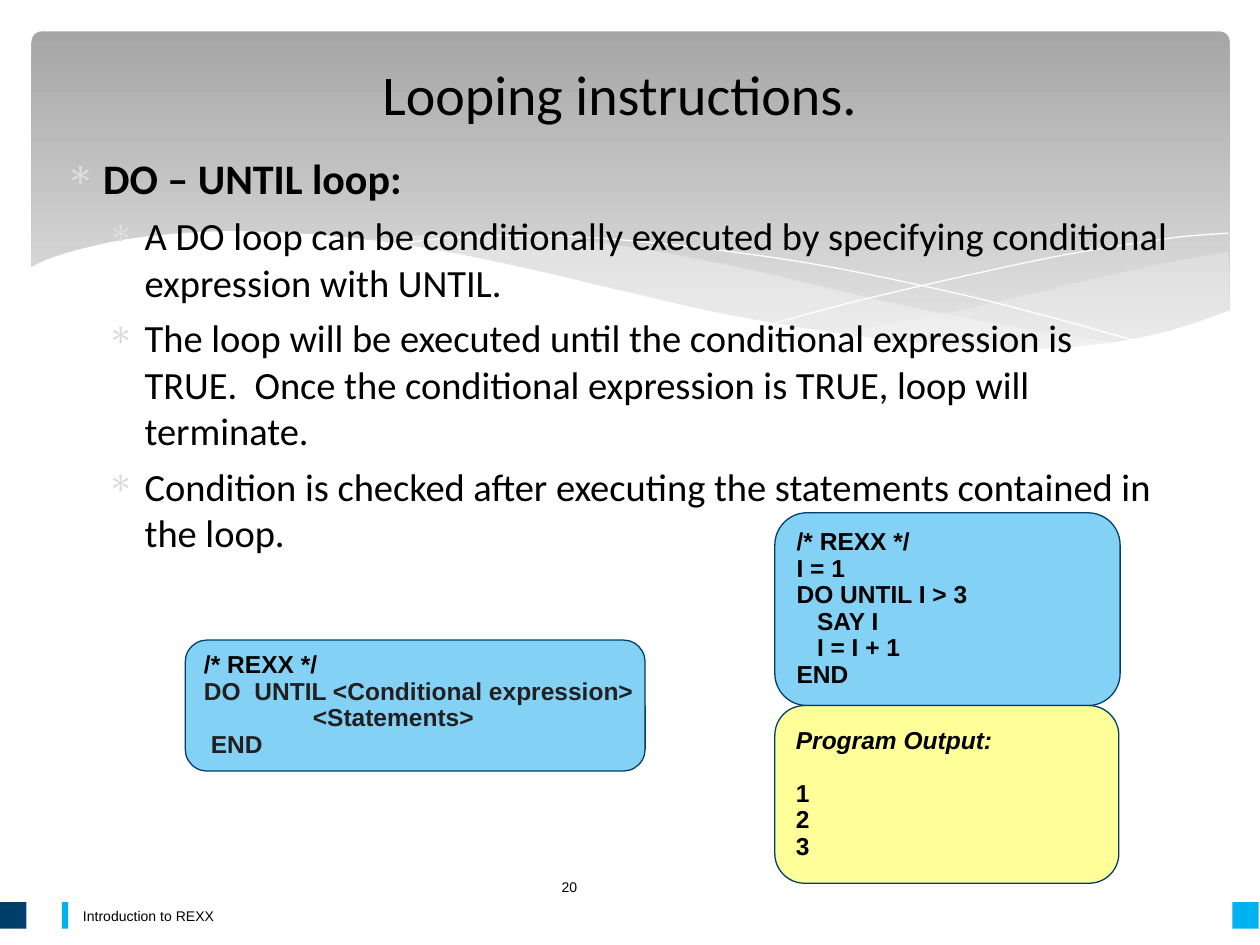
import pptx
import pptx.util
from lxml import etree
from pptx.dml.color import RGBColor
from pptx.enum.shapes import MSO_SHAPE
from pptx.enum.text import MSO_ANCHOR, PP_ALIGN
from pptx.oxml.ns import qn

# The slide is a grid of 10 columns by 7.5 rows
COLUMN = ROW = pptx.util.Inches(1)
COLUMNS, ROWS = 10, 7.5

BLACK = RGBColor(0x00, 0x00, 0x00)
INK = RGBColor(0x23, 0x1F, 0x20)
WHITE = RGBColor(0xFF, 0xFF, 0xFF)
MIST = RGBColor(0xF8, 0xF8, 0xF8)
DARK_GREY = RGBColor(0xA6, 0xA6, 0xA6)
PALE_GREY = RGBColor(0xEB, 0xEB, 0xEB)
NAVY = RGBColor(0x00, 0x3F, 0x69)
CYAN = RGBColor(0x00, 0xB2, 0xEF)
SKY = RGBColor(0x83, 0xD1, 0xF5)
YELLOW = RGBColor(0xFF, 0xFF, 0x99)
BULLET_GREY = "DDDDDD"

# Wave curves as (column, row) knots
RIGHT_WAVE_TOP = [(9.75, 2), (9.35, 2.07), (8.91, 2.16), (8.32, 2.3),
                  (7.53, 2.48), (6.61, 2.65)]
RIGHT_WAVE_BOTTOM = [(6.61, 2.65), (7.18, 2.73), (7.69, 2.77), (8.14, 2.78),
                     (8.63, 2.75), (9.05, 2.69), (9.42, 2.59), (9.76, 2.47)]
LONG_WAVE_TOP = [(8.93, 2.73), (8.07, 2.6), (7.06, 2.4), (6.13, 2.18),
                 (5.41, 2.03), (4.64, 1.91), (3.99, 1.86), (3.44, 1.86),
                 (2.86, 1.91)]
LONG_WAVE_BOTTOM = [(2.86, 1.91), (3.62, 2.03), (4.49, 2.22), (5.3, 2.4),
                    (6.18, 2.58), (6.95, 2.7), (7.61, 2.77), (8.18, 2.79),
                    (8.57, 2.77), (8.93, 2.73)]
FALLING_LINE = [(3.09, 1.95), (3.53, 1.89), (4.16, 1.87), (4.89, 1.9),
                (5.82, 2), (6.65, 2.13), (7.6, 2.33), (8.31, 2.51),
                (9.07, 2.72)]
RISING_LINE = [(6.13, 2.57), (6.72, 2.41), (7.48, 2.23), (8.36, 2.04),
               (8.95, 1.94), (9.37, 1.88), (9.75, 1.85)]
WHITE_WAVE = [(9.77, 2.46), (9.3, 2.62), (8.75, 2.73), (8.09, 2.77),
              (7.44, 2.74), (6.68, 2.65), (5.79, 2.5), (5.03, 2.33),
              (4.18, 2.13), (3.39, 1.97), (2.71, 1.88), (2.11, 1.84),
              (1.61, 1.84), (1.06, 1.89), (0.67, 1.97), (0.4, 2.05),
              (0.23, 2.13)]
WHITE_WAVE_BASE = [(0.23, 3.29), (9.77, 3.29)]

BULLETS = [
    "A DO loop can be conditionally executed by specifying conditional "
    "expression with UNTIL.",
    "The loop will be executed until the conditional expression is TRUE.  "
    "Once the conditional expression is TRUE, loop will terminate.",
    "Condition is checked after executing the statements contained in the "
    "loop.",
]
SYNTAX = ["/* REXX */", "DO  UNTIL <Conditional expression>",
          "                <Statements>", " END"]
EXAMPLE = ["/* REXX */", "I = 1", "DO UNTIL I > 3", "   SAY I",
           "   I = I + 1", "END"]
OUTPUT = ["Program Output:", "1", "2", "3"]


def place(left, top, width, height):
    return (round(left * COLUMN), round(top * ROW),
            round(width * COLUMN), round(height * ROW))


def smooth(knots, steps=5):
    """Points of a Catmull-Rom curve through the knots."""
    padded = [knots[0], *knots, knots[-1]]
    points = [knots[0]]
    for a, b, c, d in zip(padded, padded[1:], padded[2:], padded[3:]):
        for step in range(1, steps + 1):
            t = step / steps
            points.append(tuple(
                q + t / 2 * (r - p + t * (2 * p - 5 * q + 4 * r - s
                                          + t * (3 * (q - r) + s - p)))
                for p, q, r, s in zip(a, b, c, d)))
    return points


def add_path(page, points, fill=None, opacity=100):
    """A filled outline, or an open white line when there is no fill."""
    spots = [(round(x * COLUMN), round(y * ROW)) for x, y in points]
    builder = page.shapes.build_freeform(*spots[0])
    builder.add_line_segments(spots[1:], close=fill is not None)
    path = builder.convert_to_shape()
    path.shadow.inherit = False
    if fill is None:
        path.fill.background()
        path.line.color.rgb = WHITE
        path.line.width = 0
        return
    path.fill.solid()
    path.fill.fore_color.rgb = fill
    path.line.fill.background()
    if opacity < 100:
        color = path.fill._xPr.find(qn("a:solidFill"))[0]
        etree.SubElement(color, qn("a:alpha"), val=str(opacity * 1000))


def add_block(page, kind, area, fill=None):
    block = page.shapes.add_shape(kind, *place(*area))
    block.shadow.inherit = False
    block.line.fill.background()
    if fill is not None:
        block.fill.solid()
        block.fill.fore_color.rgb = fill
    return block


def style(para, size, font="Arial", color=BLACK, bold=False, italic=False):
    para.font.size = pptx.util.Pt(size)
    para.font.name = font
    para.font.color.rgb = color
    para.font.bold = bold
    para.font.italic = italic


def add_bullet(para, left):
    properties = para._p.get_or_add_pPr()
    properties.set("marL", str(round(left * COLUMN)))
    properties.set("indent", str(round(-0.3 * COLUMN)))
    color = etree.SubElement(properties, qn("a:buClr"))
    etree.SubElement(color, qn("a:srgbClr"), val=BULLET_GREY)
    etree.SubElement(properties, qn("a:buChar"), char="∗")


def add_text(page, area, text, size, font="Arial", align=PP_ALIGN.LEFT):
    box = page.shapes.add_textbox(*place(*area))
    box.text_frame.word_wrap = True
    box.text_frame.vertical_anchor = MSO_ANCHOR.MIDDLE
    para = box.text_frame.paragraphs[0]
    para.text = text
    para.alignment = align
    style(para, size, font)


def add_body(page, area, heading, bullets):
    frame = page.shapes.add_textbox(*place(*area)).text_frame
    frame.word_wrap = True
    para = frame.paragraphs[0]
    para.text = heading
    add_bullet(para, 0.3)
    style(para, 24, "Calibri", bold=True)
    for bullet in bullets:
        para = frame.add_paragraph()
        para.text = bullet
        para.level = 1
        para.space_before = pptx.util.Pt(5.5)
        add_bullet(para, 0.63)
        style(para, 22, "Calibri")


def add_panel(page, area, lines, fill, rest=BLACK, titled=False):
    """A rounded panel of code; a titled one has an italic first line."""
    panel = add_block(page, MSO_SHAPE.FLOWCHART_ALTERNATE_PROCESS, area, fill)
    panel.line.color.rgb = NAVY
    panel.line.width = pptx.util.Pt(0.75)
    frame = panel.text_frame
    frame.word_wrap = False
    frame.vertical_anchor = MSO_ANCHOR.MIDDLE
    for index, line in enumerate(lines):
        para = frame.add_paragraph() if index else frame.paragraphs[0]
        para.text = line
        para.alignment = PP_ALIGN.LEFT
        para.line_spacing = 0.9
        if titled and index == 1:
            para.space_before = pptx.util.Pt(15)
        style(para, 14, color=rest if index else BLACK, bold=True,
              italic=titled and index == 0)


def add_backdrop(page):
    banner = add_block(page, MSO_SHAPE.ROUNDED_RECTANGLE,
                       (0.25, 0.25, 9.51, 2.7))
    banner.adjustments[0] = 0.03
    banner.fill.gradient()
    banner.fill.gradient_angle = 270
    for stop, color, position in zip(banner.fill.gradient_stops,
                                     (DARK_GREY, PALE_GREY), (0, 1)):
        stop.color.rgb = color
        stop.position = position
    add_path(page, smooth(RIGHT_WAVE_TOP) + smooth(RIGHT_WAVE_BOTTOM), MIST, 29)
    add_path(page, smooth(LONG_WAVE_TOP) + smooth(LONG_WAVE_BOTTOM), MIST, 40)
    add_path(page, smooth(FALLING_LINE))
    add_path(page, smooth(RISING_LINE))
    add_path(page, smooth(WHITE_WAVE) + WHITE_WAVE_BASE, WHITE)


def add_footer(page):
    add_text(page, (0.56, 7.14, 7.79, 0.26), "Introduction to REXX", 8)
    for left, width, color in ((0, 0.21, NAVY), (9.78, 0.21, CYAN),
                               (0.49, 0.05, CYAN)):
        add_block(page, MSO_SHAPE.RECTANGLE, (left, 7.16, width, 0.21), color)
    add_text(page, (4.36, 6.84, 1.27, 0.4), "20", 8)


def main():
    deck = pptx.Presentation()
    deck.slide_width = round(COLUMNS * COLUMN)
    deck.slide_height = round(ROWS * ROW)
    page = deck.slides.add_slide(deck.slide_layouts[6])
    add_backdrop(page)
    # Title and body
    add_text(page, (0.22, 0.39, 9.5, 0.7), "Looping instructions. ", 32,
             "Calibri", PP_ALIGN.CENTER)
    add_body(page, (0.42, 1.16, 8.96, 5.72), "DO – UNTIL loop:", BULLETS)
    add_footer(page)
    # Code panels
    add_panel(page, (1.47, 5.08, 3.65, 1.04), SYNTAX, SKY, INK)
    add_panel(page, (6.15, 4.07, 2.74, 1.53), EXAMPLE, SKY)
    add_panel(page, (6.15, 5.6, 2.73, 1.41), OUTPUT, YELLOW, titled=True)
    deck.save("out.pptx")


if __name__ == "__main__":
    main()
